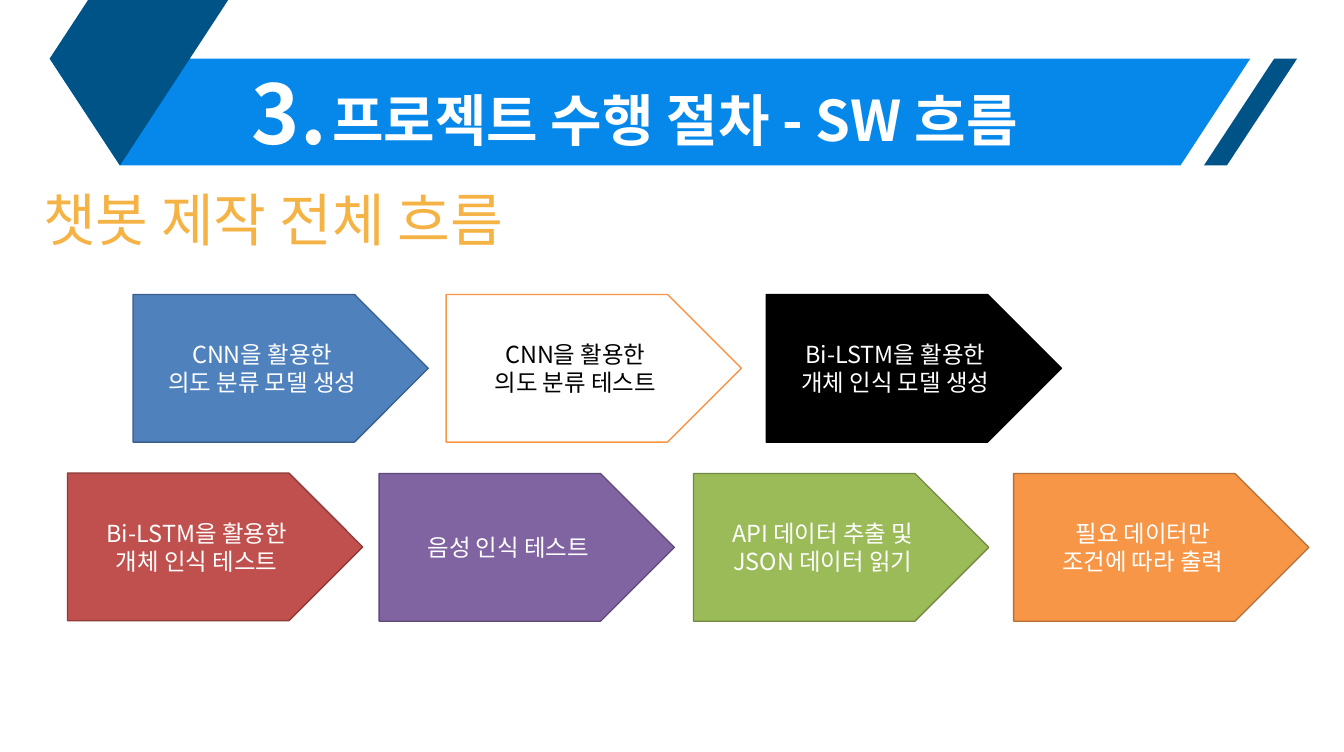
from lxml import etree
from pptx import Presentation
from pptx.dml.color import RGBColor
from pptx.enum import shapes, text
from pptx.oxml import ns

PX = 9144  # 100 px to the inch
FONT = "Noto Sans CJK KR"
WHITE, BLACK, NAVY, BLUE, GOLD = "FFFFFF", "000000", "005386", "0688EB", "F5B345"


def write(shape, words, size, color, bold=False, align=text.PP_ALIGN.LEFT, **frame_format):
    """Fill a shape with one paragraph per line of words."""
    frame = shape.text_frame
    frame.text = words
    for name, value in frame_format.items():
        setattr(frame, name, value)
    for paragraph in frame.paragraphs:
        paragraph.alignment = align
        for run in paragraph.runs:
            for name, value in {"name": FONT, "size": size * 12700, "bold": bold}.items():
                setattr(run.font, name, value)
            run.font.color.rgb = RGBColor.from_string(color)
            etree.SubElement(run.font._element, ns.qn("a:ea"), typeface=FONT)


presentation = Presentation()
presentation.slide_width, presentation.slide_height = 2868 * PX, 1604 * PX
slide = presentation.slides.add_slide(presentation.slide_layouts[5])

# Banner
banner_parts = [
    (NAVY, [(2719, 125), (2569, 353), (2618, 353), (2768, 125)]),
    (BLUE, [(256, 353), (2519, 353), (2668, 125), (106, 125)]),
    (NAVY, [(256, 353), (106, 125), (188, 0), (487, 0)]),
]
for color, points in banner_parts:
    builder = slide.shapes.build_freeform(*points[0], scale=PX)
    builder.add_line_segments(points[1:], close=True)
    part = builder.convert_to_shape()
    part.shadow.inherit = False
    part.fill.solid()
    part.fill.fore_color.rgb = RGBColor.from_string(color)
    part.line.fill.background()

# Headings; the title goes in front of the banner
title = slide.shapes.title
slide.shapes.element.append(title.element)
number = slide.shapes.add_textbox(0, 0, 0, 0)
subtitle = slide.shapes.add_textbox(0, 0, 0, 0)
headings = [
    (number, "3.", (537, 133, 167, 212), 126, WHITE, True),
    (title, "프로젝트 수행 절차 - SW 흐름", (709, 182, 1593, 145), 86, WHITE, True),
    (subtitle, "챗봇 제작 전체 흐름", (92, 393, 1057, 148), 88, GOLD, False),
]
for heading, words, box, size, color, bold in headings:
    for name, value in zip(("left", "top", "width", "height"), box):
        setattr(heading, name, value * PX)
    write(heading, words, size, color, bold, word_wrap=False,
          auto_size=text.MSO_AUTO_SIZE.SHAPE_TO_FIT_TEXT,
          vertical_anchor=text.MSO_ANCHOR.TOP,
          margin_left=0, margin_top=0, margin_right=0, margin_bottom=0)

# Steps of the flow
STEP_WIDTH, STEP_HEIGHT = 630, 315
steps = [
    (284, 628, "4F81BD", "3A5F8C", WHITE, "CNN을 활용한\n의도 분류 모델 생성"),
    (952, 628, WHITE, "F79646", BLACK, "CNN을 활용한\n의도 분류 테스트"),
    (1635, 628, BLACK, BLACK, WHITE, "Bi-LSTM을 활용한\n개체 인식 모델 생성"),
    (144, 1009, "C0504D", "8E3B39", WHITE, "Bi-LSTM을 활용한\n개체 인식 테스트"),
    (809, 1010, "8064A2", "5F4A78", WHITE, "음성 인식 테스트"),
    (1480, 1010, "9BBB59", "738A42", WHITE, "API 데이터 추출 및\nJSON 데이터 읽기"),
    (2163, 1010, "F79646", "B76F34", WHITE, "필요 데이터만\n조건에 따라 출력"),
]
for left, top, fill, line, color, words in steps:
    step = slide.shapes.add_shape(shapes.MSO_SHAPE.PENTAGON, left * PX, top * PX,
                                  STEP_WIDTH * PX, STEP_HEIGHT * PX)
    step.shadow.inherit = False
    step.fill.solid()
    step.fill.fore_color.rgb = RGBColor.from_string(fill)
    step.line.color.rgb = RGBColor.from_string(line)
    step.line.width = 2 * 12700
    write(step, words, 36, color, align=text.PP_ALIGN.CENTER, word_wrap=True,
          vertical_anchor=text.MSO_ANCHOR.MIDDLE)

presentation.save("out.pptx")
